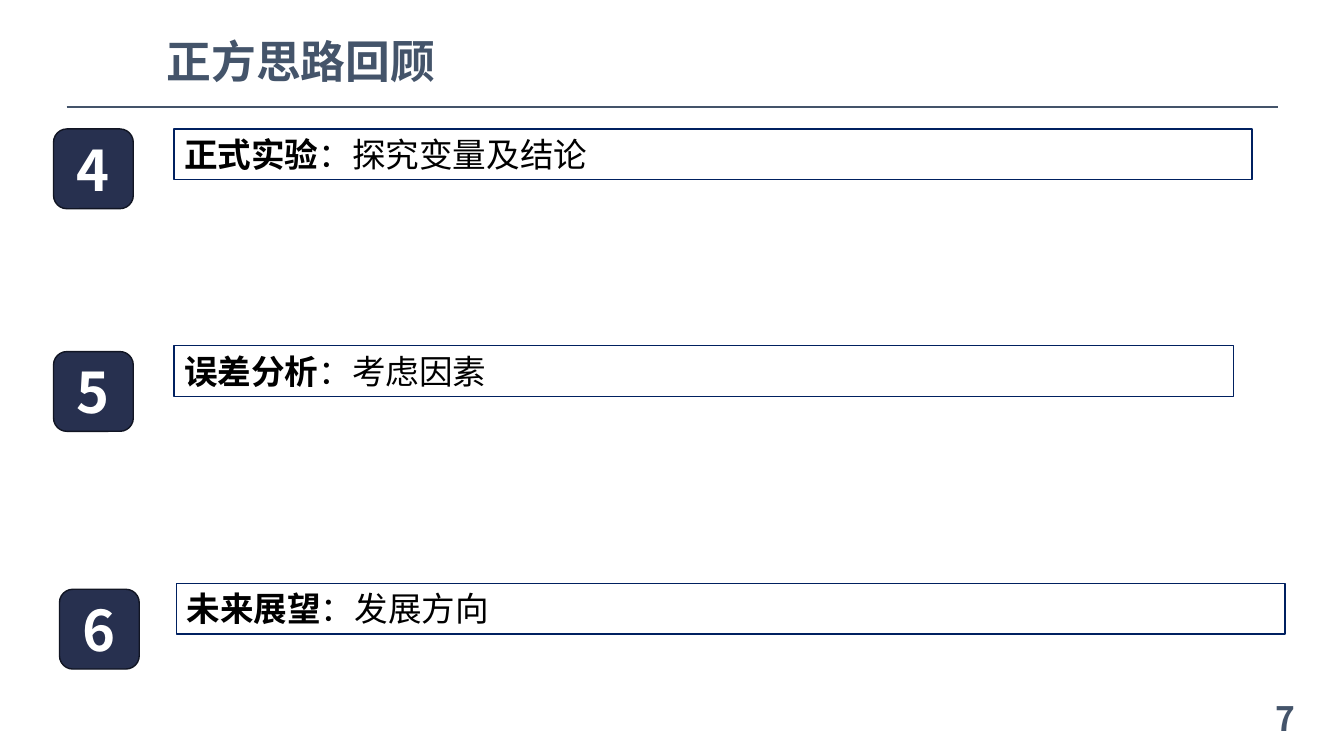
import pptx
import pptx.util
import pptx.dml.color
import pptx.enum.shapes
import pptx.enum.text
from lxml import etree
from pptx.util import Cm, Pt

FONT = "Noto Sans CJK SC"
COLORS = {
    "heading": "44546A",
    "badge": "27304F",
    "badge_edge": "111523",
    "topic_edge": "002060",
    "topic_text": "000000",
    "badge_text": "FFFFFF",
}
ALIGN = pptx.enum.text.PP_ALIGN
ANCHOR = pptx.enum.text.MSO_ANCHOR
SHAPE = pptx.enum.shapes.MSO_SHAPE
DRAWING_NS = "http://schemas.openxmlformats.org/drawingml/2006/main"

# number, topic, detail, left, top, badge drop, topic offset, topic width (cm)
SECTIONS = [
    ("4", "正式实验", "：探究变量及结论", 1.35, 3.25, 0, 3.04, 27.16),
    ("5", "误差分析", "：考虑因素", 1.35, 8.71, 0.15, 3.04, 26.7),
    ("6", "未来展望", "：发展方向", 1.5, 14.7, 0.15, 2.95, 27.94),
]
BADGE_SIZE = 2.01
TOPIC_HEIGHT = 1.28


def color(name):
    return pptx.dml.color.RGBColor.from_string(COLORS[name])


def style_paragraph(paragraph, size, color_name, bold=None, align=ALIGN.LEFT):
    paragraph.alignment = align
    font = paragraph.font
    font.size = Pt(size)
    font.bold = bold
    font.color.rgb = color(color_name)
    font.name = FONT
    properties = paragraph._p.pPr.find(f"{{{DRAWING_NS}}}defRPr")
    etree.SubElement(properties, f"{{{DRAWING_NS}}}ea", typeface=FONT)


def add_outlined(slide, kind, left, top, width, height, edge):
    shape = slide.shapes.add_shape(kind, Cm(left), Cm(top), Cm(width), Cm(height))
    shape.shadow.inherit = False
    shape.line.color.rgb = color(edge)
    shape.line.width = Pt(1)
    return shape


def add_heading(slide, left, top, width, height):
    title = slide.shapes.title
    title.left, title.top, title.width, title.height = map(Cm, (left, top, width, height))
    frame = title.text_frame
    frame.text = "正方思路回顾"
    frame.word_wrap = False
    frame.auto_size = pptx.enum.text.MSO_AUTO_SIZE.NONE
    frame.vertical_anchor = ANCHOR.TOP
    style_paragraph(frame.paragraphs[0], 32, "heading", True)


def add_heading_rule(slide, left, right, y):
    rule = slide.shapes.add_connector(
        pptx.enum.shapes.MSO_CONNECTOR.STRAIGHT, Cm(left), Cm(y), Cm(right), Cm(y))
    rule.line.color.rgb = color("heading")
    rule.line.width = Pt(1.75)
    etree.SubElement(rule._element.spPr, f"{{{DRAWING_NS}}}effectLst")


def add_badge(slide, number, left, top):
    badge = add_outlined(slide, SHAPE.ROUNDED_RECTANGLE, left, top,
                         BADGE_SIZE, BADGE_SIZE, "badge_edge")
    badge.fill.solid()
    badge.fill.fore_color.rgb = color("badge")
    frame = badge.text_frame
    frame.text = number
    frame.vertical_anchor = ANCHOR.MIDDLE
    style_paragraph(frame.paragraphs[0], 40, "badge_text", True, ALIGN.CENTER)


def add_topic(slide, topic, detail, left, top, width):
    bar = add_outlined(slide, SHAPE.RECTANGLE, left, top, width, TOPIC_HEIGHT, "topic_edge")
    bar.fill.background()
    frame = bar.text_frame
    frame.word_wrap = True
    frame.vertical_anchor = ANCHOR.TOP
    paragraph = frame.paragraphs[0]
    style_paragraph(paragraph, 24, "topic_text")
    for text, bold in ((topic, True), (detail, False)):
        run = paragraph.add_run()
        run.text = text
        run.font.bold = bold


def add_section(slide, number, topic, detail, left, top, badge_drop, topic_offset, topic_width):
    add_badge(slide, number, left, top + badge_drop)
    add_topic(slide, topic, detail, left + topic_offset, top, topic_width)


def add_page_number(slide, left, top, width, height):
    box = slide.shapes.add_textbox(Cm(left), Cm(top), Cm(width), Cm(height))
    frame = box.text_frame
    frame.word_wrap = True
    frame.vertical_anchor = ANCHOR.MIDDLE
    frame.text = "7"
    style_paragraph(frame.paragraphs[0], 24, "heading", True, ALIGN.RIGHT)


def main():
    presentation = pptx.Presentation()
    presentation.slide_width = Cm(33.87)
    presentation.slide_height = Cm(19.05)
    title_only = presentation.slide_layouts[5]
    slide = presentation.slides.add_slide(title_only)
    add_heading_rule(slide, 1.68, 32.2, 2.7)
    add_page_number(slide, 25.27, 17.45, 7.62, 1.28)
    add_heading(slide, 3.94, 0.71, 7.32, 1.63)
    for section in SECTIONS:
        add_section(slide, *section)
    presentation.save("out.pptx")


if __name__ == "__main__":
    main()
